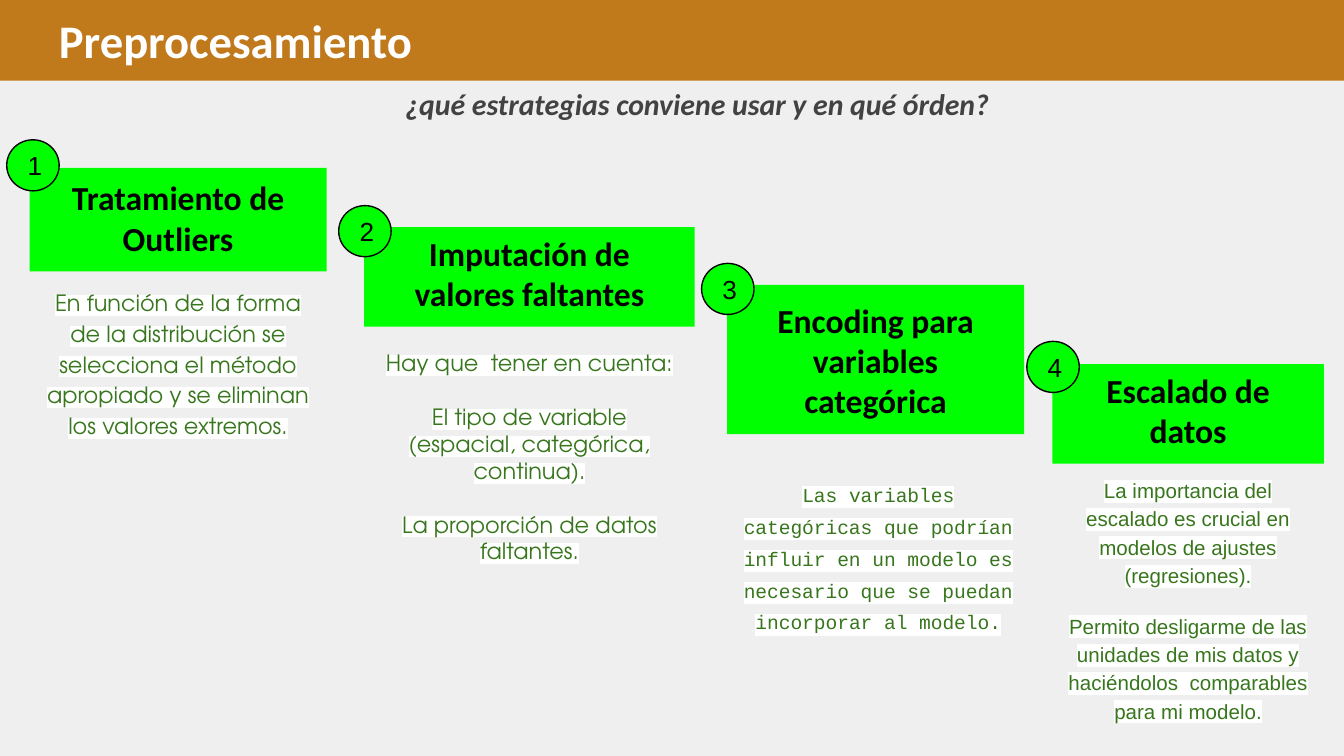
import pptx
import pptx.util
import pptx.dml.color
import pptx.enum.shapes
import pptx.enum.text
import lxml.etree

Inches = pptx.util.Inches
Pt = pptx.util.Pt
Kind = pptx.enum.shapes.MSO_SHAPE
Align = pptx.enum.text.PP_ALIGN
Anchor = pptx.enum.text.MSO_ANCHOR

# Content
TITLE = "Preprocesamiento"
ASK = "¿qué estrategias conviene usar y en qué órden?"
GREEN, LEAF, BLACK = "00FF00", "38761D", "000000"

# Each step: heading, its box, badge corner, note top, width and height, note format, note
STEPS = [
    ("Tratamiento de Outliers", (0.22, 1.25, 2.21, 0.77), (0.05, 1.04), (2.02, 2.21, 1.26),
     dict(font="TeX Gyre Adventor", size=12, lines=1.15),
     ["En función de la forma de la distribución se selecciona el método "
      "apropiado y se eliminan los valores extremos."]),
    ("Imputación de valores faltantes", (2.71, 1.69, 2.46, 0.74), (2.52, 1.53), (2.5, 2.46, 1.26),
     dict(font="TeX Gyre Adventor", size=12, gap=14.4),
     ["Hay que  tener en cuenta:",
      "El tipo de variable (espacial, categórica, continua).",
      "La proporción de datos faltantes."]),
    ("Encoding para variables categórica", (5.41, 2.12, 2.21, 1.11), (5.22, 1.96),
     (3.43, 2.25, 1.26),
     dict(font="Courier New", size=10.5, lines=1.36),
     ["Las variables categóricas que podrían influir en un modelo es "
      "necesario que se puedan incorporar al modelo."]),
    ("Escalado de datos", (7.83, 2.71, 2.02, 0.74), (7.64, 2.54), (3.43, 2.02, 1.94),
     dict(font="Arial", size=11, lines=1.15, gap=12),
     ["La importancia del escalado es crucial en modelos de ajustes (regresiones).",
      "Permito desligarme de las unidades de mis datos y haciéndolos  "
      "comparables para mi modelo."]),
]


def color(code):
    return pptx.dml.color.RGBColor.from_string(code)


def mark(run, code):
    """Put a highlight behind a run, right after its fill."""
    ns = "{http://schemas.openxmlformats.org/drawingml/2006/main}"
    light = lxml.etree.Element(ns + "highlight")
    lxml.etree.SubElement(light, ns + "srgbClr", val=code)
    run.font._element.find(ns + "solidFill").addnext(light)


def write(shape, paras, font="Calibri", size=18, ink=BLACK, bold=False, italic=False,
          align=Align.CENTER, anchor=Anchor.TOP, lines=None, gap=0, back=None):
    frame = shape.text_frame
    frame.word_wrap = True
    frame.vertical_anchor = anchor
    frame.margin_left = frame.margin_right = Inches(0.1)
    frame.margin_top = frame.margin_bottom = Inches(0.1)
    for i, text in enumerate(paras):
        para = frame.add_paragraph() if i else frame.paragraphs[0]
        para.alignment = align
        if lines:
            para.line_spacing = lines
        if i and gap:
            para.space_before = Pt(gap)
        run = para.add_run()
        run.text = text
        run.font.name, run.font.size = font, Pt(size)
        run.font.bold, run.font.italic = bold, italic
        run.font.color.rgb = color(ink)
        if back:
            mark(run, back)


def block(kind, place, fill, line=None):
    shape = slide.shapes.add_shape(kind, *map(Inches, place))
    shape.shadow.inherit = False
    shape.fill.solid()
    shape.fill.fore_color.rgb = color(fill)
    if line:
        shape.line.color.rgb = color(line)
        shape.line.width = Pt(0.75)
    else:
        shape.line.fill.background()
    return shape


def label(place):
    return slide.shapes.add_textbox(*map(Inches, place))


# Wide slide, 16 to 9
deck = pptx.Presentation()
deck.slide_width = Inches(10)
deck.slide_height = deck.slide_width * 9 // 16
slide = deck.slides.add_slide(deck.slide_layouts[6])
slide.background.fill.solid()
slide.background.fill.fore_color.rgb = color("EFEFEF")

# Header band, title and question
block(Kind.RECTANGLE, (0, 0, 10.02, 0.6), "C0791B")
write(label((0.34, -0.01, 9.32, 0.53)), [TITLE], size=25, ink="FFFFFF", bold=True,
      align=Align.LEFT)
write(label((0.53, 0.54, 9.32, 0.84)), [ASK], size=16, ink="424242", bold=True, italic=True)

# Steps: heading box, note below it, numbered badge on its corner
for num, (head, box, spot, (top, wide, tall), style, note) in enumerate(STEPS, 1):
    write(block(Kind.RECTANGLE, box, GREEN), [head], bold=True, anchor=Anchor.BOTTOM)
    write(label((box[0], top, wide, tall)), note, ink=LEAF, back="FFFFFF", **style)
    write(block(Kind.OVAL, (*spot, 0.39, 0.38), GREEN, BLACK), [str(num)],
          font="Arial", size=14, align=Align.LEFT, anchor=Anchor.MIDDLE)

deck.save("out.pptx")
